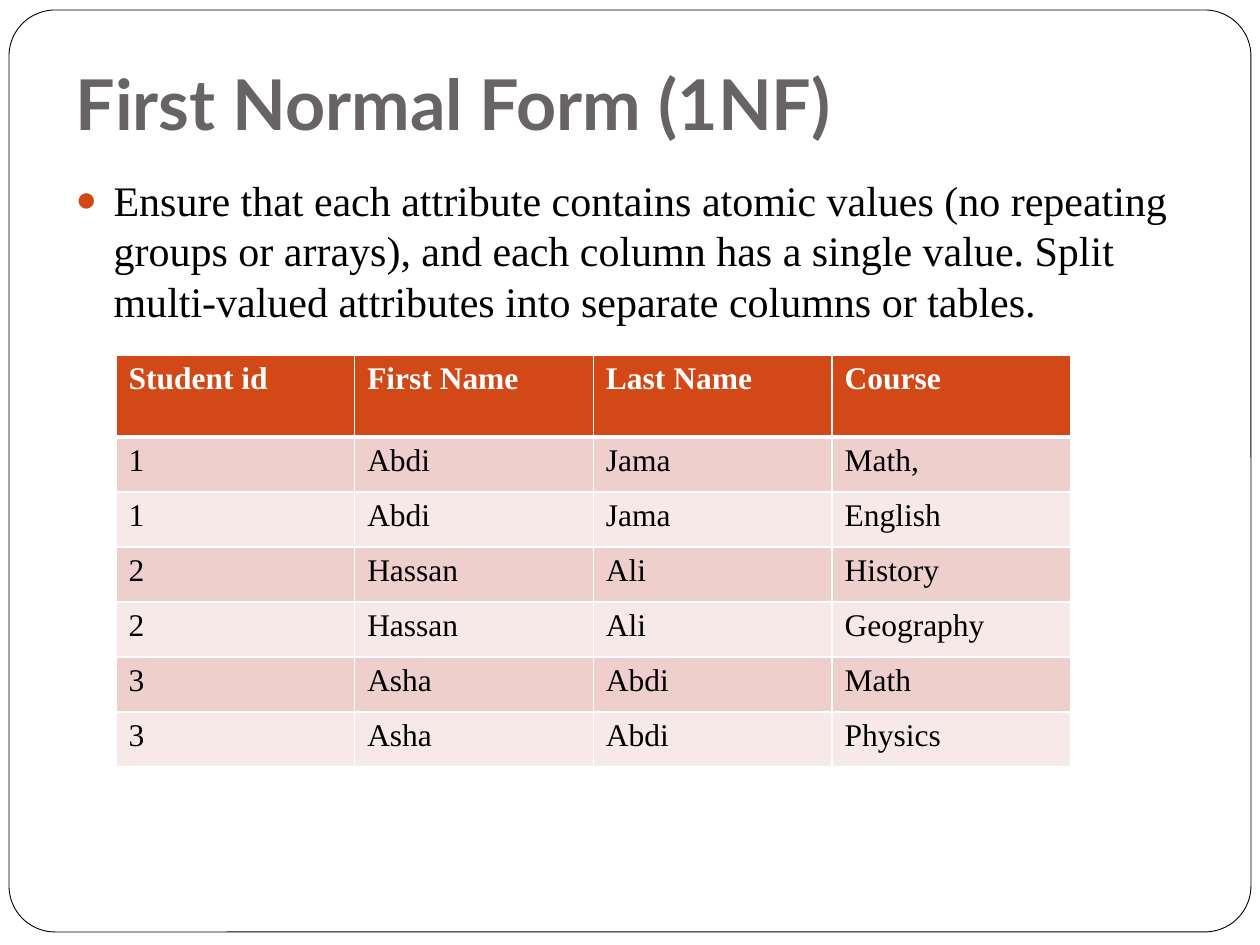
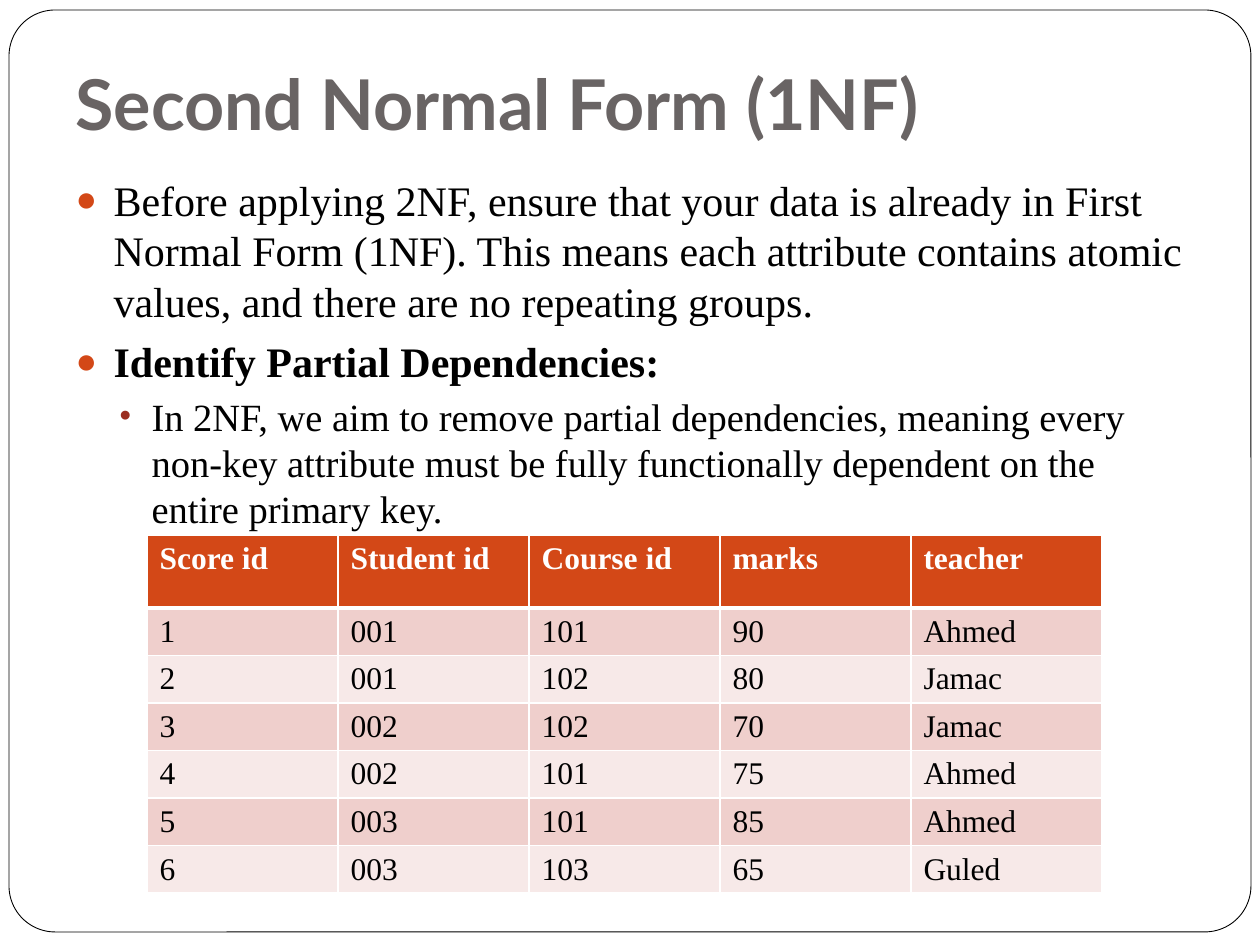
from dataclasses import dataclass

from lxml import etree
from pptx import Presentation
from pptx import util as u
from pptx.dml.color import RGBColor
from pptx.enum import shapes, text
from pptx.oxml import ns

PX = 914400 / 126
TITLE_FONT, BODY_FONT = "Lato", "Times New Roman"
WHITE, BLACK, GREY = "FFFFFF", "000000", "696464"
ORANGE, RED = "D34817", "9B2D1F"
ROW_FILLS = ("EFCFCC", "F7E9E8")


@dataclass(frozen=True)
class Box:
    left: int
    top: int
    width: int
    height: int

    def emu(self) -> tuple[int, ...]:
        return tuple(px(n) for n in (self.left, self.top, self.width, self.height))


@dataclass(frozen=True)
class Level:
    bullet: str
    bullet_color: str
    margin: int
    hanging: int
    space_before: float
    size: int


@dataclass(frozen=True)
class Point:
    words: str
    level: int = 0
    bold: bool = False


@dataclass(frozen=True)
class Grid:
    left: int
    top: int
    header_height: int
    row_height: int
    rows: tuple[tuple[str, ...], ...]


@dataclass(frozen=True)
class Topic:
    title: str
    points: tuple[Point, ...]
    grid: Grid


FRAME = Box(9, 10, 1242, 922)
TITLE = Box(63, 37, 1134, 120)
BODY = Box(63, 168, 1134, 756)
TABLE_WIDTH = 955
LEVELS = (
    Level("●", ORANGE, 38, 38, 5.8, 24),
    Level("•", RED, 76, 32, 3.7, 22),
)

TOPICS = (
    Topic(
        "First Normal Form (1NF)",
        (
            Point(
                "Ensure that each attribute contains atomic values (no repeating "
                "groups or arrays), and each column has a single value. Split "
                "multi-valued attributes into separate columns or tables."
            ),
        ),
        Grid(116, 355, 82, 55, (
            ("Student id", "First Name", "Last Name", "Course"),
            ("1", "Abdi", "Jama", "Math,"),
            ("1", "Abdi", "Jama", "English"),
            ("2", "Hassan", "Ali", "History"),
            ("2", "Hassan", "Ali", "Geography"),
            ("3", "Asha", "Abdi", "Math"),
            ("3", "Asha", "Abdi", "Physics"),
        )),
    ),
    Topic(
        "Second Normal Form (1NF)",
        (
            Point(
                "Before applying 2NF, ensure that your data is already in First "
                "Normal Form (1NF). This means each attribute contains atomic "
                "values, and there are no repeating groups."
            ),
            Point("Identify Partial Dependencies:", bold=True),
            Point(
                "In 2NF, we aim to remove partial dependencies, meaning every "
                "non-key attribute must be fully functionally dependent on the "
                "entire primary key.",
                level=1,
            ),
        ),
        Grid(147, 535, 73, 40, (
            ("Score id", "Student id", "Course id", "marks", "teacher"),
            ("1", "001", "101", "90", "Ahmed"),
            ("2", "001", "102", "80", "Jamac"),
            ("3", "002", "102", "70", "Jamac"),
            ("4", "002", "101", "75", "Ahmed"),
            ("5", "003", "101", "85", "Ahmed"),
            ("6", "003", "103", "65", "Guled"),
        )),
    ),
)


def px(length: float) -> int:
    return round(length * PX)


def rgb(value: str) -> RGBColor:
    return RGBColor.from_string(value)


def place(shape, box: Box) -> None:
    shape.left, shape.top, shape.width, shape.height = box.emu()


def style_font(para, name: str, size: int, color: str, bold: bool = False) -> None:
    font = para.font
    font.name, font.size, font.bold = name, u.Pt(size), bold
    font.color.rgb = rgb(color)


def set_bullet(para, level: Level) -> None:
    props = para._p.get_or_add_pPr()
    props.set("marL", str(px(level.margin)))
    props.set("indent", str(-px(level.hanging)))
    color = etree.SubElement(props, ns.qn("a:buClr"))
    etree.SubElement(color, ns.qn("a:srgbClr"), val=level.bullet_color)
    etree.SubElement(props, ns.qn("a:buSzPct"), val="85000")
    etree.SubElement(props, ns.qn("a:buChar"), char=level.bullet)


def set_bottom_border(cell, color: str, points: float) -> None:
    border = etree.Element(ns.qn("a:lnB"), w=str(u.Pt(points)))
    fill = etree.SubElement(border, ns.qn("a:solidFill"))
    etree.SubElement(fill, ns.qn("a:srgbClr"), val=color)
    cell._tc.get_or_add_tcPr().insert(0, border)


def add_frame(page) -> None:
    """Draw the rounded page border behind everything else."""
    frame = page.shapes.add_shape(shapes.MSO_SHAPE.ROUNDED_RECTANGLE, *FRAME.emu())
    frame.adjustments[0] = 0.05
    frame.shadow.inherit = False
    frame.fill.solid()
    frame.fill.fore_color.rgb = rgb(WHITE)
    frame.line.color.rgb = rgb(BLACK)
    frame.line.width = u.Pt(0.5)
    page.shapes.element.insert(2, frame.element)


def fill_title(page, words: str) -> None:
    title = page.shapes.title
    place(title, TITLE)
    box = title.text_frame
    box.text = words
    box.auto_size = text.MSO_AUTO_SIZE.NONE
    box.vertical_anchor = text.MSO_ANCHOR.BOTTOM
    box.margin_bottom = u.Inches(0.1)
    para = box.paragraphs[0]
    para.alignment = text.PP_ALIGN.LEFT
    style_font(para, TITLE_FONT, 40, GREY, bold=True)


def fill_body(page, points: tuple[Point, ...]) -> None:
    body = page.placeholders[1]
    place(body, BODY)
    box = body.text_frame
    box.text = "\n".join(point.words for point in points)
    box.auto_size = text.MSO_AUTO_SIZE.NONE
    for para, point in zip(box.paragraphs, points):
        level = LEVELS[point.level]
        para.level = point.level
        set_bullet(para, level)
        para.line_spacing = 1.0
        para.space_before = u.Pt(level.space_before)
        style_font(para, BODY_FONT, level.size, BLACK, point.bold)


def add_grid(page, grid: Grid) -> None:
    row_count, column_count = len(grid.rows), len(grid.rows[0])
    height = grid.header_height + grid.row_height * (row_count - 1)
    box = Box(grid.left, grid.top, TABLE_WIDTH, height)
    table = page.shapes.add_table(row_count, column_count, *box.emu()).table
    for column in table.columns:
        column.width = px(TABLE_WIDTH / column_count)
    for index, values in enumerate(grid.rows):
        header = index == 0
        table.rows[index].height = px(grid.header_height if header else grid.row_height)
        for cell, value in zip(table.rows[index].cells, values):
            cell.text = value
            cell.fill.solid()
            cell.fill.fore_color.rgb = rgb(ORANGE if header else ROW_FILLS[(index - 1) % 2])
            if header:
                set_bottom_border(cell, WHITE, 3)
            style_font(cell.text_frame.paragraphs[0], BODY_FONT, 18,
                       WHITE if header else BLACK, bold=header)


def main() -> None:
    deck = Presentation()
    deck.slide_width, deck.slide_height = px(1260), px(945)
    for topic in TOPICS:
        page = deck.slides.add_slide(deck.slide_layouts[1])
        add_frame(page)
        fill_title(page, topic.title)
        fill_body(page, topic.points)
        add_grid(page, topic.grid)
    deck.save("out.pptx")


if __name__ == "__main__":
    main()
